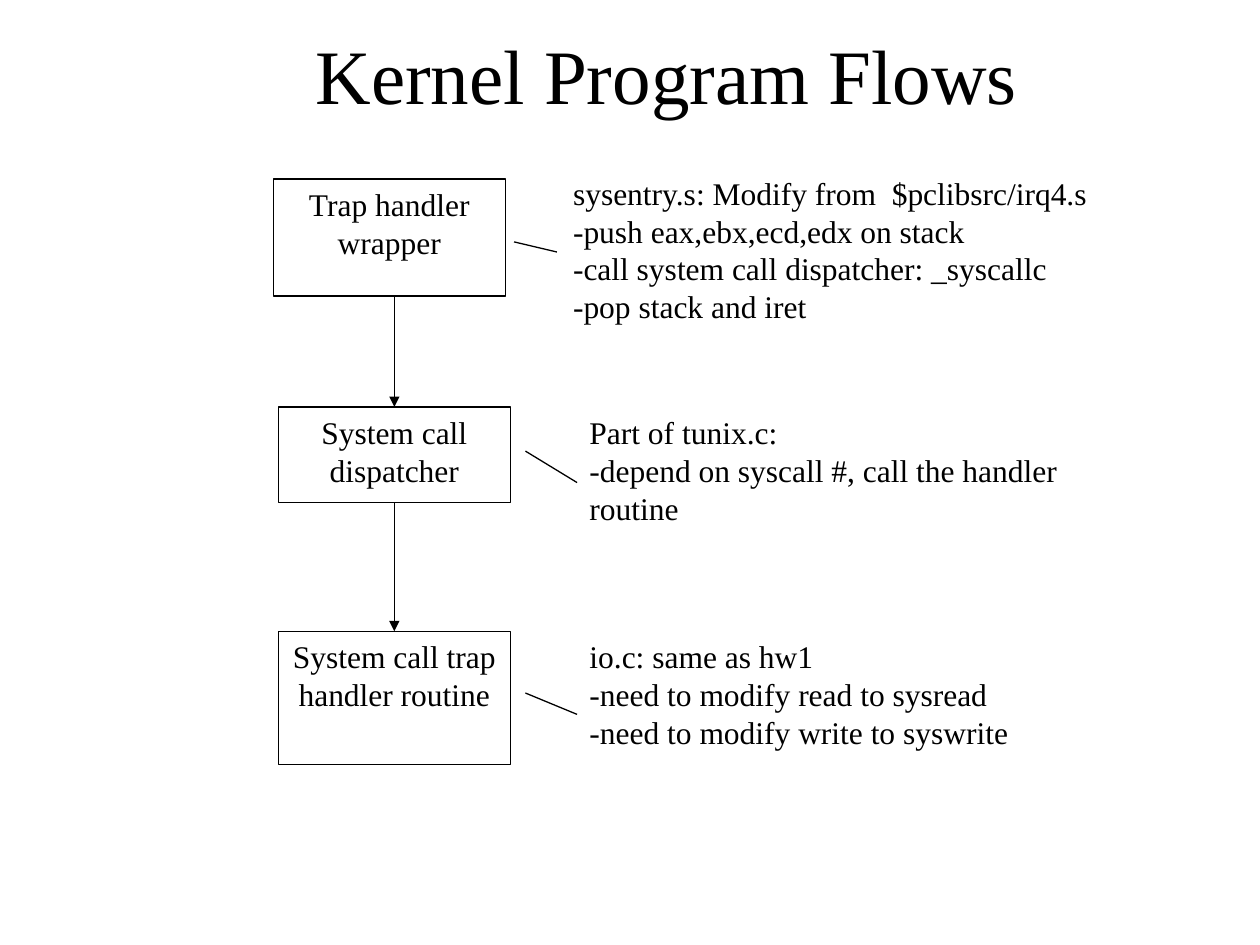
from lxml import etree
from pptx import Presentation
from pptx.dml.color import RGBColor
from pptx.enum import shapes, text
from pptx.oxml import ns
from pptx.util import Inches, Pt

COLORS = {"ink": "000000", "paper": "FFFFFF"}
INK = RGBColor.from_string(COLORS["ink"])
PAPER = RGBColor.from_string(COLORS["paper"])
LINE_WIDTH = Pt(0.75)


def write(shape, lines, size, alignment, line_spacing=None):
    frame = shape.text_frame
    frame.word_wrap = True
    frame.text = "\n".join(lines)
    for paragraph in frame.paragraphs:
        formats = {"alignment": alignment, "line_spacing": line_spacing}
        for name, value in formats.items():
            setattr(paragraph, name, value)
        for name, value in {"name": "Times New Roman", "size": Pt(size)}.items():
            setattr(paragraph.font, name, value)
        paragraph.font.color.rgb = INK


def draw_line(slide, start, end, arrow=False):
    line = slide.shapes.add_connector(
        shapes.MSO_CONNECTOR.STRAIGHT, *[Inches(value) for value in start + end])
    line.line.color.rgb = INK
    line.line.width = LINE_WIDTH
    properties = line._element.spPr
    if arrow:
        etree.SubElement(properties.find(ns.qn("a:ln")), ns.qn("a:tailEnd"), type="triangle")
    etree.SubElement(properties, ns.qn("a:effectLst"))
    return line


presentation = Presentation()
presentation.slide_width, presentation.slide_height = Inches(10), Inches(7.5)
slide = presentation.slides.add_slide(presentation.slide_layouts[5])

# Title
title = slide.shapes.title
title_place = {"left": 1.58, "top": 0.25, "width": 7.42, "height": 0.67}
for name, value in title_place.items():
    setattr(title, name, Inches(value))
write(title, ["Kernel Program Flows"], 44, text.PP_ALIGN.CENTER)
title.text_frame.vertical_anchor = text.MSO_ANCHOR.MIDDLE

# Flow steps, top to bottom
steps = [
    ("Trap handler wrapper", 2.17, 1.42, 0.93),
    ("System call dispatcher", 2.21, 3.23, 0.76),
    ("System call trap handler routine", 2.21, 5.01, 1.06),
]
boxes = []
for label, left, top, height in steps:
    box = slide.shapes.add_shape(
        shapes.MSO_SHAPE.RECTANGLE, Inches(left), Inches(top), Inches(1.84), Inches(height))
    box.shadow.inherit = False
    box.fill.solid()
    box.fill.fore_color.rgb = PAPER
    box.line.color.rgb = INK
    box.line.width = LINE_WIDTH
    write(box, [label], 18, text.PP_ALIGN.CENTER, Pt(21.6))
    box.text_frame.vertical_anchor = text.MSO_ANCHOR.TOP
    boxes.append(box)

# Notes beside the steps
notes = [
    (4.45, 1.33, 4.47, 1.31, [
        "sysentry.s: Modify from  $pclibsrc/irq4.s",
        "-push eax,ebx,ecd,edx on stack",
        "-call system call dispatcher: _syscallc",
        "-pop stack and iret",
    ]),
    (4.58, 3.23, 4.08, 1.01, [
        "Part of tunix.c:",
        "-depend on syscall #, call the handler routine",
    ]),
    (4.58, 5.01, 4.08, 1.01, [
        "io.c: same as hw1",
        "-need to modify read to sysread",
        "-need to modify write to syswrite",
    ]),
]
for *place, lines in notes:
    note = slide.shapes.add_textbox(*[Inches(value) for value in place])
    note.fill.solid()
    note.fill.fore_color.rgb = PAPER
    write(note, lines, 18, text.PP_ALIGN.LEFT, Pt(21.6))

# Arrows between steps; the first box is off the axis, so its end stays free
first_arrow = draw_line(slide, (3.13, 2.35), (3.13, 3.23), arrow=True)
first_arrow.end_connect(boxes[1], 0)
second_arrow = draw_line(slide, (3.13, 3.99), (3.13, 5.01), arrow=True)
second_arrow.begin_connect(boxes[1], 2)
second_arrow.end_connect(boxes[2], 0)

# Short lines from steps to notes
for start, end in [((4.08, 1.92), (4.42, 2)),
                   ((4.17, 3.58), (4.58, 3.83)),
                   ((4.17, 5.5), (4.58, 5.67))]:
    draw_line(slide, start, end)

presentation.save("out.pptx")
